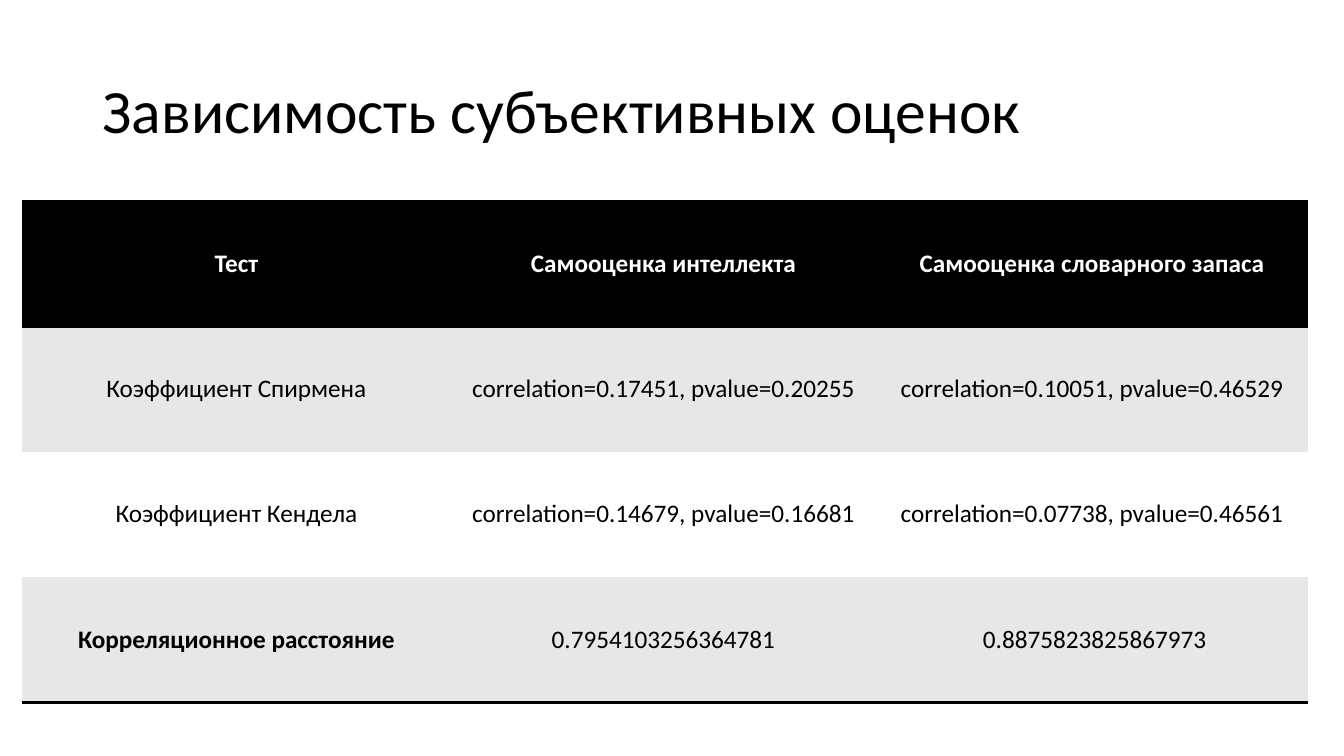
from dataclasses import dataclass

from lxml import etree
from pptx import Presentation
from pptx.dml.color import RGBColor
from pptx.enum.text import MSO_ANCHOR, MSO_AUTO_SIZE, PP_ALIGN
from pptx.oxml.ns import qn
from pptx.slide import Slide
from pptx.table import _Cell
from pptx.text.text import TextFrame
from pptx.util import Inches, Pt

BLACK = RGBColor(0x00, 0x00, 0x00)
WHITE = RGBColor(0xFF, 0xFF, 0xFF)
GRAY = RGBColor(0xE7, 0xE7, 0xE7)
LEFT = PP_ALIGN.LEFT
CENTER = PP_ALIGN.CENTER
MIDDLE = MSO_ANCHOR.MIDDLE
NO_AUTOFIT = MSO_AUTO_SIZE.NONE
TITLE_ONLY = 5
FONT = "Calibri"
PLAIN_TABLE_STYLE = "{2D5ABB26-0587-4C30-8999-92F81FD0307C}"
COLUMN_WIDTHS = (4.25, 4.22, 4.28)
ROW_HEIGHTS = (1.24, 1.24, 1.24, 1.25)


@dataclass(frozen=True)
class TableRow:
    texts: tuple[str, str, str]
    fill: RGBColor
    color: RGBColor = BLACK
    bold_columns: tuple[int, ...] = ()
    borders: tuple[str, ...] = ()


ROWS = (
    TableRow(("Тест", "Самооценка интеллекта", "Самооценка словарного запаса"),
             BLACK, WHITE, bold_columns=(0, 1, 2), borders=("a:lnT", "a:lnB")),
    TableRow(("Коэффициент Спирмена", "correlation=0.17451, pvalue=0.20255",
              "correlation=0.10051, pvalue=0.46529"), GRAY),
    TableRow(("Коэффициент Кендела", "correlation=0.14679, pvalue=0.16681",
              "correlation=0.07738, pvalue=0.46561"), WHITE),
    TableRow(("Корреляционное расстояние", "0.7954103256364781",
              " 0.8875823825867973"),
             GRAY, bold_columns=(0,), borders=("a:lnB",)),
)


def write_text(frame: TextFrame, text: str, *, size: float, color: RGBColor = BLACK,
               bold: bool = False, align: PP_ALIGN = LEFT, spacing: float = 1.0) -> None:
    para = frame.paragraphs[0]
    para.alignment = align
    para.line_spacing = spacing
    span = para.add_run()
    span.text = text
    span.font.name = FONT
    span.font.size = Pt(size)
    span.font.bold = bold
    span.font.color.rgb = color


def add_border(cell: _Cell, side: str) -> None:
    properties = cell._tc.get_or_add_tcPr()
    line = etree.SubElement(properties, qn(side), w=str(Pt(2)))
    fill = etree.SubElement(line, qn("a:solidFill"))
    etree.SubElement(fill, qn("a:srgbClr"), val=str(BLACK))


def format_cell(cell: _Cell, row: TableRow, column: int) -> None:
    for side in row.borders:
        add_border(cell, side)
    cell.fill.solid()
    cell.fill.fore_color.rgb = row.fill
    cell.vertical_anchor = MIDDLE
    write_text(cell.text_frame, row.texts[column], size=18, color=row.color,
               bold=column in row.bold_columns, align=CENTER)


def add_title(page: Slide) -> None:
    title = page.shapes.title
    title.left, title.top = Inches(0.92), Inches(0.4)
    title.width, title.height = Inches(11.5), Inches(1.45)
    frame = title.text_frame
    frame.auto_size = NO_AUTOFIT
    frame.word_wrap = True
    frame.vertical_anchor = MIDDLE
    write_text(frame, "Зависимость субъективных оценок", size=44, spacing=0.9)


def add_results(page: Slide) -> None:
    table = page.shapes.add_table(
        len(ROWS), len(COLUMN_WIDTHS), Inches(0.22), Inches(2),
        Inches(sum(COLUMN_WIDTHS)), Inches(sum(ROW_HEIGHTS))).table
    table._tbl.tblPr.find(qn("a:tableStyleId")).text = PLAIN_TABLE_STYLE
    table.horz_banding = False
    for column, width in zip(table.columns, COLUMN_WIDTHS):
        column.width = Inches(width)
    for index, (row, height) in enumerate(zip(ROWS, ROW_HEIGHTS)):
        table.rows[index].height = Inches(height)
        for column in range(len(COLUMN_WIDTHS)):
            format_cell(table.cell(index, column), row, column)


def main() -> None:
    deck = Presentation()
    deck.slide_width, deck.slide_height = Inches(13.33), Inches(7.5)
    page = deck.slides.add_slide(deck.slide_layouts[TITLE_ONLY])
    add_title(page)
    add_results(page)
    deck.save("out.pptx")


if __name__ == "__main__":
    main()
